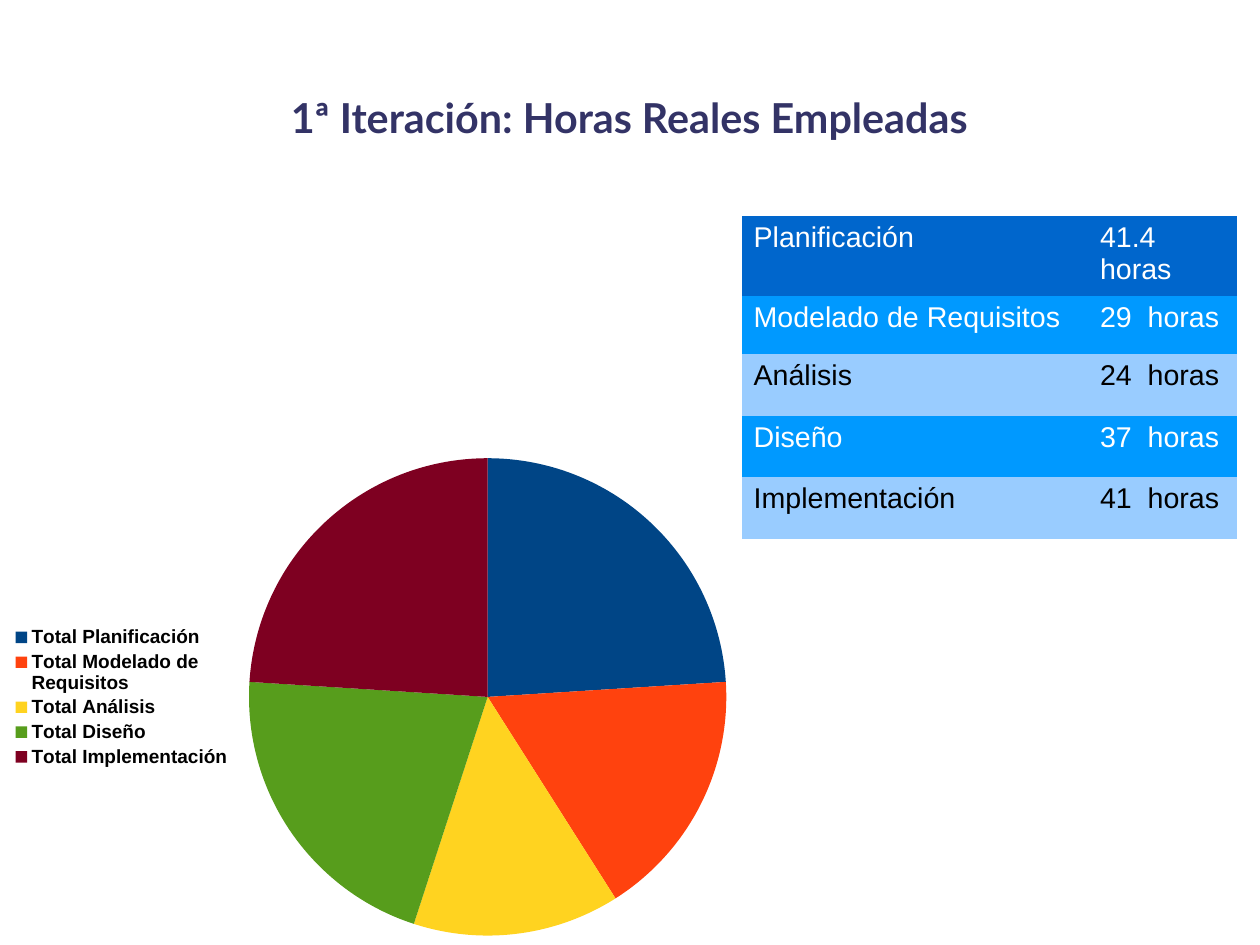
from dataclasses import dataclass

from lxml import etree
from pptx import Presentation
from pptx import util as u
from pptx.chart.data import CategoryChartData
from pptx.dml.color import RGBColor
from pptx.enum import chart as charts, text
from pptx.oxml.ns import qn
from pptx.slide import Slide
from pptx.text.text import Font

PLAIN_TABLE_STYLE = "{2D5ABB26-0587-4C30-8999-92F81FD0307C}"


@dataclass(frozen=True)
class Theme:
    title_font: str = "Lato"
    body_font: str = "Arial"
    title_size: int = 26
    table_size: int = 18
    legend_size: int = 12
    chart_size: int = 10
    title: str = "333366"
    light: str = "FFFFFF"
    dark: str = "000000"
    header: str = "0066CC"
    band: str = "0099FF"
    pale_band: str = "99CCFF"


@dataclass(frozen=True)
class Box:
    left: float
    top: float
    width: float
    height: float

    def lengths(self) -> tuple[u.Length, ...]:
        return tuple(u.Pt(v) for v in (self.left, self.top, self.width, self.height))


@dataclass(frozen=True)
class Activity:
    name: str
    hours: str
    share: int
    color: str
    row_height: float


THEME = Theme()
TITLE_BOX = Box(39.6, 27.4, 714.2, 92.2)
CHART_BOX = Box(0, 269.3, 468, 339.8)
TABLE_BOX = Box(467.6, 136.1, 311.8, 203.5)
COLUMN_WIDTHS = (218.2, 93.6)
PIE_LAYOUT = {"x": 0.335, "y": 0.057, "w": 0.643, "h": 0.885}
ACTIVITIES = (
    Activity("Planificación", "41.4 horas", 24, "004586", 50.2),
    Activity("Modelado de Requisitos", "29  horas", 17, "FF420E", 36.6),
    Activity("Análisis", "24  horas", 14, "FFD320", 38.9),
    Activity("Diseño", "37  horas", 21, "579D1C", 38.9),
    Activity("Implementación", "41  horas", 24, "7E0021", 38.9),
)


def set_font(font: Font, name: str, size: int, color: str, bold: bool = False) -> None:
    font.name = name
    font.size = u.Pt(size)
    font.bold = bold
    font.color.rgb = RGBColor.from_string(color)


def add_title(page: Slide, wording: str) -> None:
    title = page.shapes.title
    title.left, title.top, title.width, title.height = TITLE_BOX.lengths()
    frame = title.text_frame
    frame.margin_left = frame.margin_right = frame.margin_top = frame.margin_bottom = 0
    frame.vertical_anchor = text.MSO_ANCHOR.MIDDLE
    frame.text = wording
    para = frame.paragraphs[0]
    para.alignment = text.PP_ALIGN.CENTER
    set_font(para.font, THEME.title_font, THEME.title_size, THEME.title, True)


def add_pie(page: Slide) -> None:
    data = CategoryChartData()
    data.categories = [f"Total {activity.name}" for activity in ACTIVITIES]
    data.add_series("Series 1", [activity.share for activity in ACTIVITIES])
    chart = page.shapes.add_chart(
        charts.XL_CHART_TYPE.PIE, *CHART_BOX.lengths(), data
    ).chart
    set_font(chart.font, THEME.body_font, THEME.chart_size, THEME.dark)
    chart.has_title = False
    chart.has_legend = True
    chart.legend.position = charts.XL_LEGEND_POSITION.LEFT
    chart.legend.include_in_layout = False
    set_font(chart.legend.font, THEME.body_font, THEME.legend_size, THEME.dark, True)
    plot = chart.plots[0]
    plot.vary_by_categories = True
    for index, activity in enumerate(ACTIVITIES):
        style = plot.series[0].points[index].format
        style.fill.solid()
        style.fill.fore_color.rgb = RGBColor.from_string(activity.color)
        style.line.fill.background()
    place_pie(chart._chartSpace.find(".//" + qn("c:plotArea")))


def place_pie(area: etree._Element) -> None:
    layout = area.find(qn("c:layout"))
    if layout is None:
        layout = etree.Element(qn("c:layout"))
        area.insert(0, layout)
    manual = etree.SubElement(layout, qn("c:manualLayout"))
    settings = {"layoutTarget": "inner", "xMode": "edge", "yMode": "edge", **PIE_LAYOUT}
    for key, value in settings.items():
        etree.SubElement(manual, qn(f"c:{key}")).set("val", str(value))


def add_hours_table(page: Slide) -> None:
    table = page.shapes.add_table(
        len(ACTIVITIES), len(COLUMN_WIDTHS), *TABLE_BOX.lengths()
    ).table
    table.first_row = table.horz_banding = False
    table._tbl.tblPr.find(qn("a:tableStyleId")).text = PLAIN_TABLE_STYLE
    for column, width in zip(table.columns, COLUMN_WIDTHS):
        column.width = u.Pt(width)
    for index, activity in enumerate(ACTIVITIES):
        table.rows[index].height = u.Pt(activity.row_height)
        pale = index > 0 and index % 2 == 0
        fill = THEME.pale_band if pale else THEME.band if index else THEME.header
        color = THEME.dark if pale else THEME.light
        for cell, wording in zip(table.rows[index].cells, (activity.name, activity.hours)):
            cell.fill.solid()
            cell.fill.fore_color.rgb = RGBColor.from_string(fill)
            cell.text = wording
            para = cell.text_frame.paragraphs[0]
            set_font(para.font, THEME.body_font, THEME.table_size, color)


def main() -> None:
    deck = Presentation()
    deck.slide_width, deck.slide_height = u.Pt(793.75), u.Pt(595.25)
    page = deck.slides.add_slide(deck.slide_layouts[5])
    add_title(page, "1ª Iteración: Horas Reales Empleadas")
    add_pie(page)
    add_hours_table(page)
    deck.save("out.pptx")


if __name__ == "__main__":
    main()
